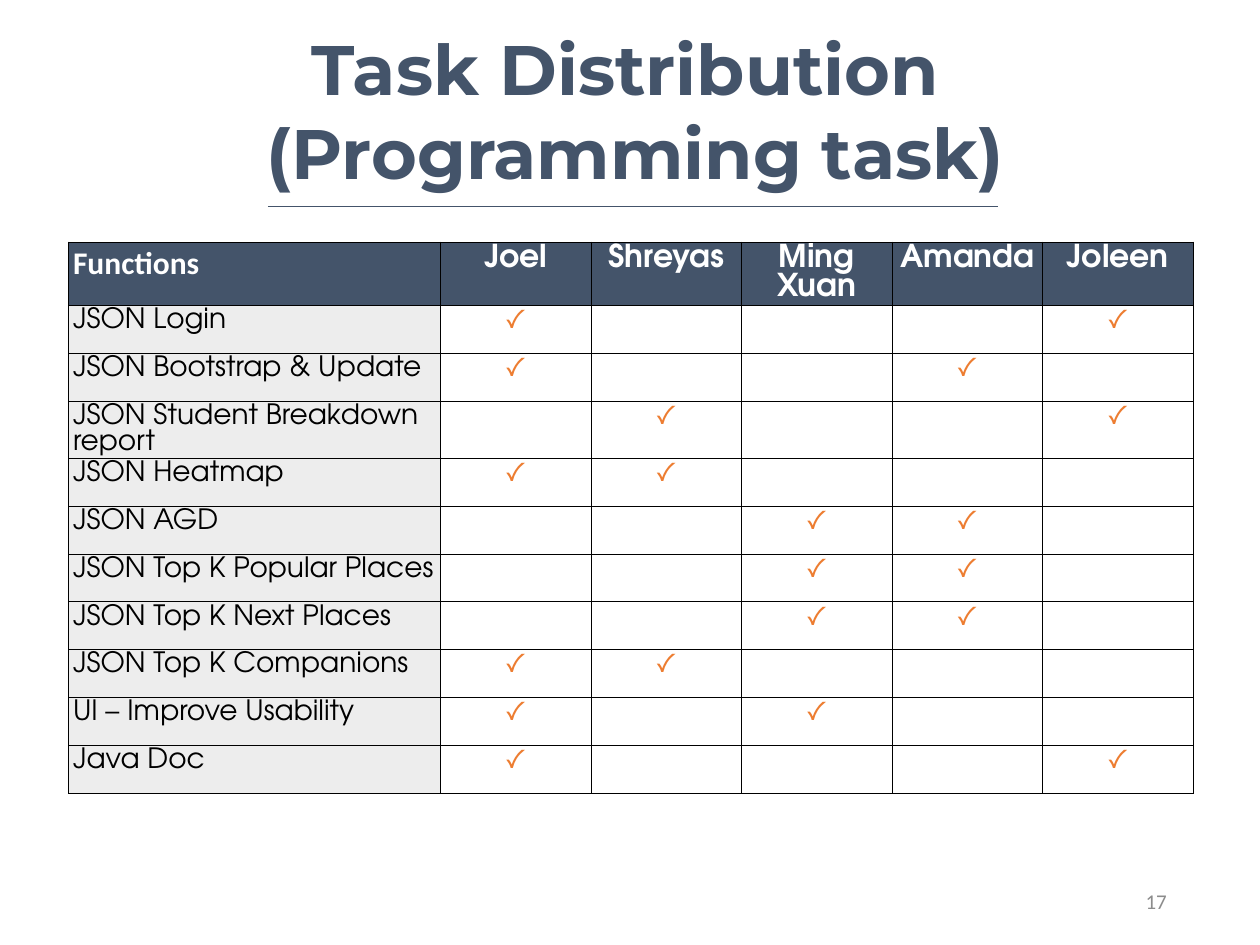
"""Build the programming task distribution slide."""
import pptx
import pptx.util
import pptx.dml.color
import pptx.enum.shapes
import pptx.enum.text
import pptx.oxml
from lxml import etree

Inches = pptx.util.Inches
Pt = pptx.util.Pt
Align = pptx.enum.text.PP_ALIGN
Anchor = pptx.enum.text.MSO_ANCHOR
HUES = {"navy": "44546A", "pale": "EDEDED", "white": "FFFFFF",
        "black": "000000", "tick": "ED7D31", "grey": "8C8C8C"}
NS = "http://schemas.openxmlformats.org/drawingml/2006/main"


def hue(name):
    return pptx.dml.color.RGBColor.from_string(HUES[name])


def write(para, text, size, face, color, bold=False, align=Align.CENTER):
    para.alignment = align
    run = para.add_run()
    run.text = text
    run.font.size = Pt(size)
    run.font.name = face
    run.font.bold = bold
    run.font.color.rgb = hue(color)


deck = pptx.Presentation()
deck.slide_width = Inches(20)
deck.slide_height = Inches(15)
slide = deck.slides.add_slide(deck.slide_layouts[5])

title = slide.shapes.title
title.left, title.top = Inches(4.04), Inches(0.35)
title.width, title.height = Inches(12.09), Inches(2.79)
frame = title.text_frame
frame.word_wrap = False
frame.auto_size = pptx.enum.text.MSO_AUTO_SIZE.NONE
frame.vertical_anchor = Anchor.TOP
write(frame.paragraphs[0], "Task Distribution ", 80, "Montserrat", "navy", True)
write(frame.add_paragraph(), "(Programming task)", 80, "Montserrat", "navy", True)
for para in frame.paragraphs:
    para.space_before = Pt(0)

rule = slide.shapes.add_connector(
    pptx.enum.shapes.MSO_CONNECTOR.STRAIGHT,
    Inches(4.25), Inches(3.28), Inches(15.84), Inches(3.28))
rule.line.color.rgb = hue("navy")
rule.line.width = Pt(0.5)
etree.SubElement(rule._element.spPr, f"{{{NS}}}effectLst")

names = ["Joel", "Shreyas", "Ming Xuan", "Amanda", "Joleen"]
tasks = [
    ("JSON Login", ["Joel", "Joleen"]),
    ("JSON Bootstrap & Update", ["Joel", "Amanda"]),
    ("JSON Student Breakdown report", ["Shreyas", "Joleen"]),
    ("JSON Heatmap", ["Joel", "Shreyas"]),
    ("JSON AGD", ["Ming Xuan", "Amanda"]),
    ("JSON Top K Popular Places", ["Ming Xuan", "Amanda"]),
    ("JSON Top K Next Places", ["Ming Xuan", "Amanda"]),
    ("JSON Top K Companions", ["Joel", "Shreyas"]),
    ("UI – Improve Usability", ["Joel", "Ming Xuan"]),
    ("Java Doc", ["Joel", "Joleen"]),
]
rows = [["Functions"] + names]
for task, team in tasks:
    rows.append([task] + ["✓" if name in team else "" for name in names])

grid = slide.shapes.add_table(
    len(rows), len(rows[0]), Inches(1.09), Inches(3.84),
    Inches(17.85), Inches(8.6)).table
for c, col in enumerate(grid.columns):
    col.width = Inches(2.39 if c else 5.9)
for r, row in enumerate(grid.rows):
    row.height = Inches(0.76 if r else 1)

for r, texts in enumerate(rows):
    for c, text in enumerate(texts):
        cell = grid.cell(r, c)
        cell.margin_left = cell.margin_right = Inches(0.07)
        cell.margin_top = cell.margin_bottom = Inches(0.04)
        for side in ("lnL", "lnR", "lnT", "lnB"):
            cell._tc.get_or_add_tcPr().append(pptx.oxml.parse_xml(
                f'<a:{side} xmlns:a="{NS}" w="12700"><a:solidFill>'
                f'<a:srgbClr val="{HUES["black"]}"/></a:solidFill></a:{side}>'))
        fill = "navy" if r == 0 else "white" if c else "pale"
        cell.fill.solid()
        cell.fill.fore_color.rgb = hue(fill)
        if text:
            face = "Calibri" if r == c == 0 else "TeX Gyre Adventor"
            color = "white" if r == 0 else "tick" if c else "black"
            write(cell.text_frame.paragraphs[0], text, 32 if r else 36, face,
                  color, r == 0, Align.CENTER if c else Align.LEFT)

page = slide.shapes.add_textbox(
    Inches(14.12), Inches(13.9), Inches(4.5), Inches(0.8)).text_frame
page.word_wrap = True
page.vertical_anchor = Anchor.MIDDLE
write(page.paragraphs[0], "17", 24, "Calibri", "grey", align=Align.RIGHT)

deck.save("out.pptx")
